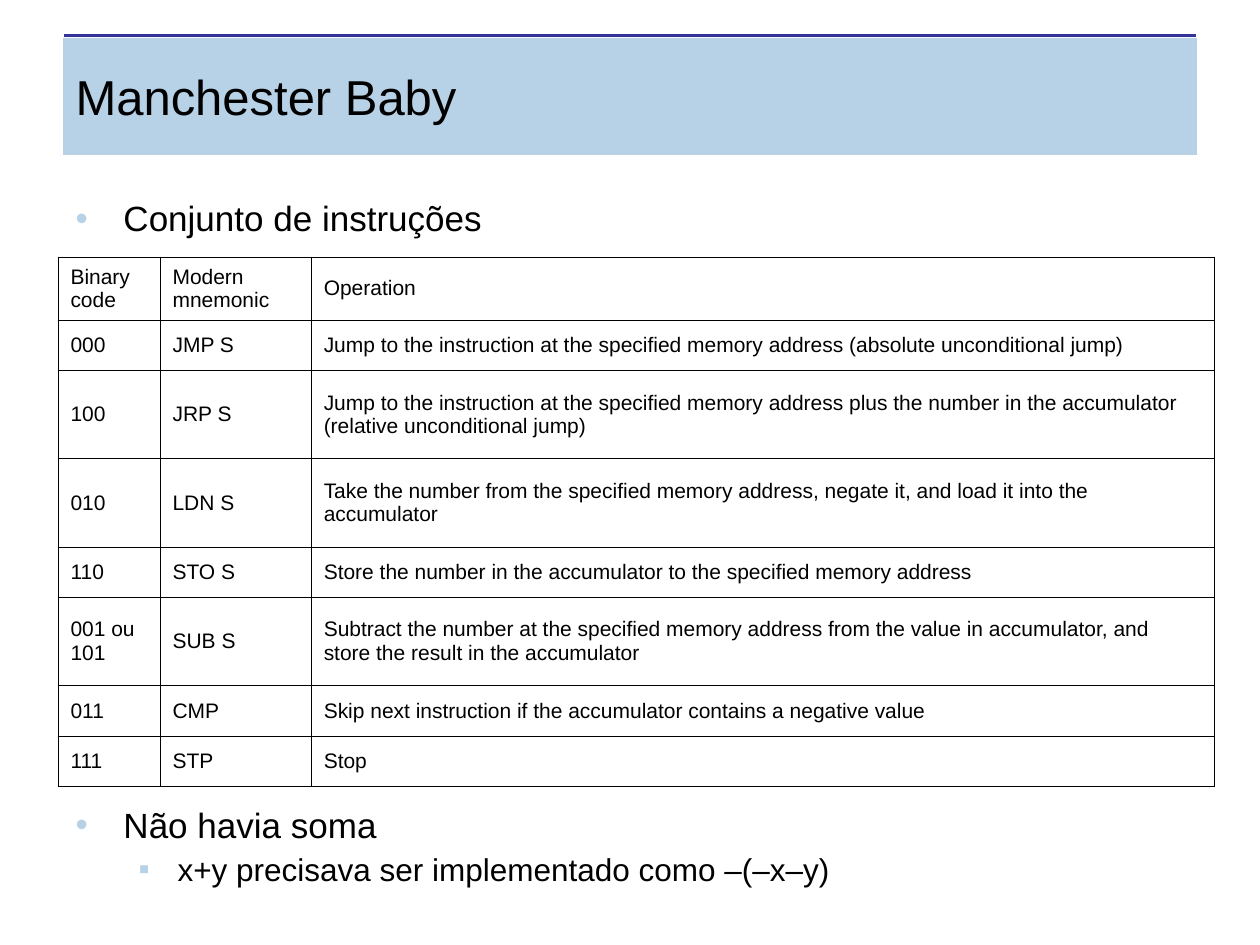
from lxml import etree
from pptx import Presentation, util as u
from pptx.dml.color import RGBColor
from pptx.enum import shapes, text
from pptx.oxml.ns import qn

FONT, INK, PALE, RULE = "Arial", "000000", "B7D1E7", "333399"
COLS = [0.81, 1.2, 7.17]
ROWS = [0.5, 0.4, 0.7, 0.7, 0.4, 0.7, 0.4, 0.4]
INSTRUCTIONS = [
    ("Binary code", "Modern mnemonic", "Operation"),
    ("000", "JMP S", "Jump to the instruction at the specified memory address "
                     "(absolute unconditional jump)"),
    ("100", "JRP S", "Jump to the instruction at the specified memory address plus "
                     "the number in the accumulator (relative unconditional jump)"),
    ("010", "LDN S", "Take the number from the specified memory address, negate it, "
                     "and load it into the accumulator"),
    ("110", "STO S", "Store the number in the accumulator to the specified memory address"),
    ("001 ou\n101", "SUB S", "Subtract the number at the specified memory address from the "
                             "value in accumulator, and store the result in the accumulator"),
    ("011", "CMP", "Skip next instruction if the accumulator contains a negative value"),
    ("111", "STP", "Stop"),
]
# Text, level, size, space before (the large one clears the table)
POINTS = [
    ("Conjunto de instruções", 0, 20, 0),
    ("Não havia soma", 0, 20, 325),
    ("x+y precisava ser implementado como –(–x–y)", 1, 18, 4.5),
]
# Bullet, left margin and hanging indent for each level
LEVELS = [("•", 0.38, -0.38), ("▪", 0.81, -0.31)]


def color(value):
    return RGBColor.from_string(value)


def write(p, words, size=12, ink=INK, before=0, spacing=1.0):
    """Fill a paragraph; a newline becomes a line break."""
    p.alignment = text.PP_ALIGN.LEFT
    p.space_before, p.line_spacing = u.Pt(before), spacing
    for i, line in enumerate(words.split("\n")):
        if i:
            p.add_line_break()
        r = p.add_run()
        r.text = line
        r.font.name, r.font.size, r.font.bold = FONT, u.Pt(size), False
        r.font.color.rgb = color(ink)


def place(sp, box):
    sp.left, sp.top, sp.width, sp.height = map(u.Inches, box)


def set_bullet(p, level):
    char, margin, indent = LEVELS[level]
    p.level = level
    pPr = p._p.get_or_add_pPr()
    pPr.set("marL", str(u.Inches(margin)))
    pPr.set("indent", str(u.Inches(indent)))
    clr = etree.SubElement(pPr, qn("a:buClr"))
    etree.SubElement(clr, qn("a:srgbClr"), val=PALE)
    etree.SubElement(pPr, qn("a:buFont"), typeface=FONT)
    etree.SubElement(pPr, qn("a:buChar"), char=char)


def set_borders(cell, width=0.45):
    tcPr = cell._tc.get_or_add_tcPr()
    for i, side in enumerate(("lnL", "lnR", "lnT", "lnB")):
        ln = etree.Element(qn("a:" + side), w=str(u.Pt(width)))
        fill = etree.SubElement(ln, qn("a:solidFill"))
        etree.SubElement(fill, qn("a:srgbClr"), val=INK)
        tcPr.insert(i, ln)


def add_header(s, box, words):
    x, y, w, h = box
    # Rule just above the band
    ln = s.shapes.add_connector(shapes.MSO_CONNECTOR.STRAIGHT, *map(
        u.Inches, (x + 0.01, y - 0.02, x + w - 0.01, y - 0.02)))
    ln.line.color.rgb, ln.line.width = color(RULE), u.Pt(1.5)
    etree.SubElement(ln._element.spPr, qn("a:effectLst"))
    # Title band
    sp = s.shapes.title
    place(sp, box)
    sp.fill.solid()
    sp.fill.fore_color.rgb = color(PALE)
    tf = sp.text_frame
    tf.auto_size = text.MSO_AUTO_SIZE.NONE
    tf.vertical_anchor = text.MSO_ANCHOR.MIDDLE
    write(tf.paragraphs[0], words, size=28)


def add_points(s, box, points):
    sp = s.placeholders[1]
    place(sp, box)
    tf = sp.text_frame
    tf.auto_size = text.MSO_AUTO_SIZE.NONE
    for i, (words, level, size, before) in enumerate(points):
        p = tf.add_paragraph() if i else tf.paragraphs[0]
        set_bullet(p, level)
        write(p, words, size=size, before=before, spacing=0.9)


def add_instructions(s, box, rows):
    table = s.shapes.add_table(len(rows), len(COLS), *map(u.Inches, box)).table
    table.first_row = table.horz_banding = False
    for col, width in zip(table.columns, COLS):
        col.width = u.Inches(width)
    for row, height, words in zip(table.rows, ROWS, rows):
        row.height = u.Inches(height)
        for cell, value in zip(row.cells, words):
            cell.fill.background()
            cell.vertical_anchor = text.MSO_ANCHOR.MIDDLE
            set_borders(cell)
            write(cell.text_frame.paragraphs[0], value)


def main():
    prs = Presentation()
    prs.slide_width, prs.slide_height = u.Inches(10), u.Inches(7.5)
    s = prs.slides.add_slide(prs.slide_layouts[1])
    add_header(s, (0.5, 0.3, 9, 0.93), "Manchester Baby")
    add_points(s, (0.5, 1.55, 8.84, 5.71), POINTS)
    add_instructions(s, (0.46, 2.04, sum(COLS), sum(ROWS)), INSTRUCTIONS)
    prs.save("out.pptx")


if __name__ == "__main__":
    main()
